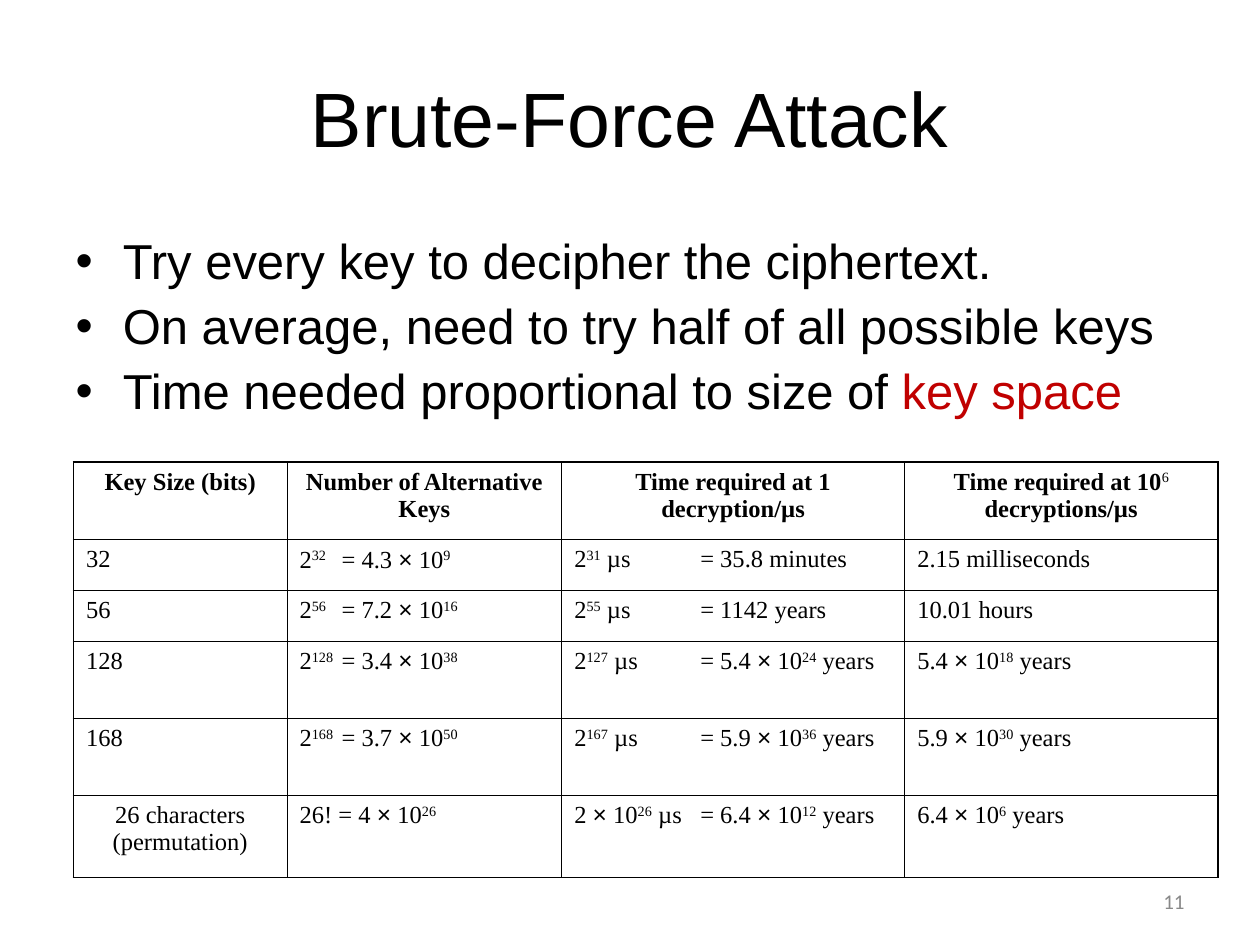
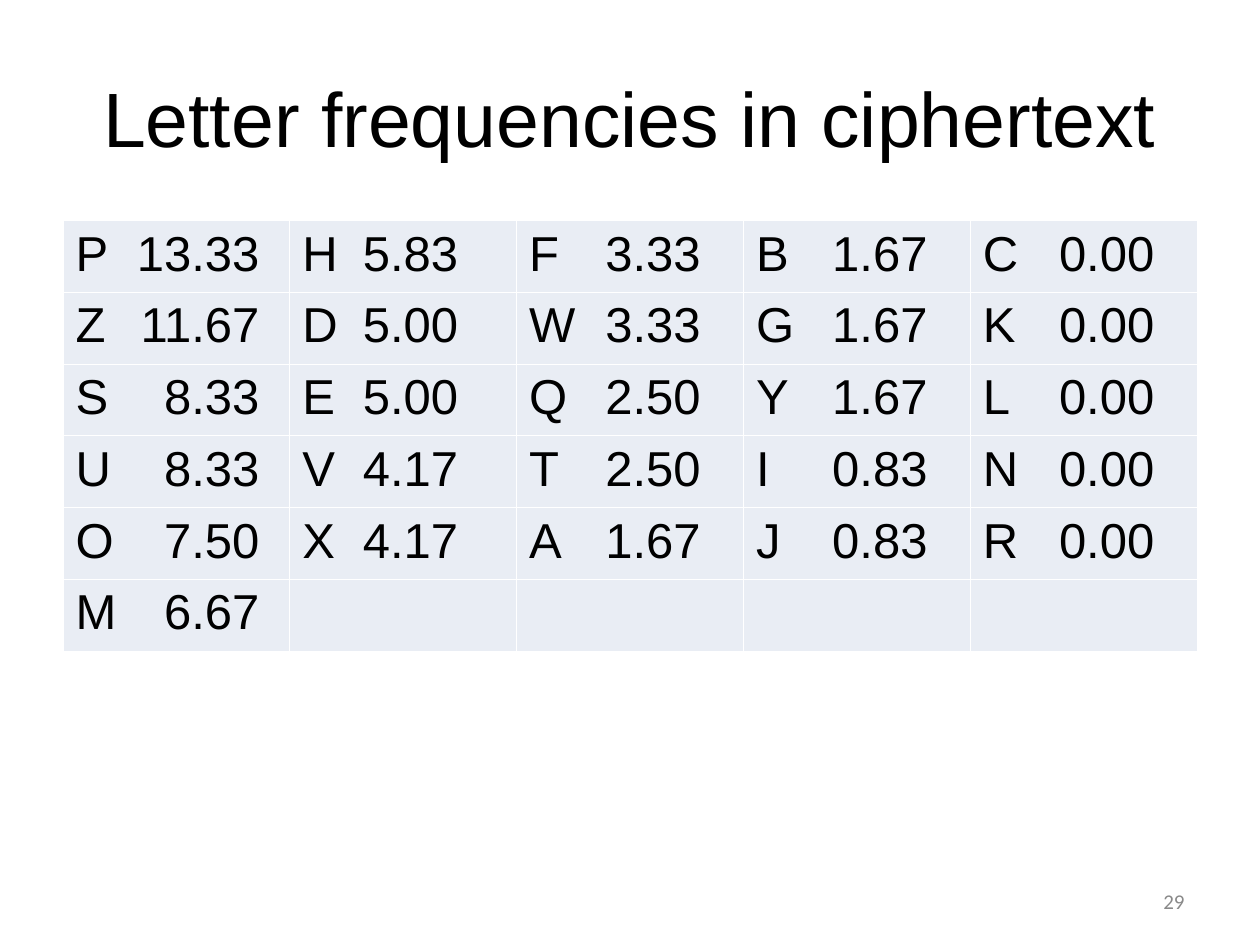
from lxml.etree import SubElement
from pptx import Presentation
from pptx.dml.color import RGBColor
from pptx.enum.text import MSO_ANCHOR, MSO_AUTO_SIZE, PP_ALIGN
from pptx.oxml.ns import qn
from pptx.util import Pt

COLORS = {"ink": "000000", "accent": "C00000", "number": "898989",
          "cell": "E9EDF4", "grid": "FFFFFF"}

KEY_HEADINGS = ["Key Size (bits)", "Number of Alternative Keys",
                "Time required at 1 decryption/µs",
                "Time required at 10^6^ decryptions/µs"]
KEY_ROWS = [
    ["32", "2^32^\t= 4.3 × 10^9^", "2^31^ µs\t= 35.8 minutes", "2.15 milliseconds"],
    ["56", "2^56^\t= 7.2 × 10^16^", "2^55^ µs\t= 1142 years", "10.01 hours"],
    ["128", "2^128^\t= 3.4 × 10^38^", "2^127^ µs\t= 5.4 × 10^24^ years",
     "5.4 × 10^18^ years"],
    ["168", "2^168^\t= 3.7 × 10^50^", "2^167^ µs\t= 5.9 × 10^36^ years",
     "5.9 × 10^30^ years"],
    ["26 characters (permutation)", "26! = 4 × 10^26^",
     "2 × 10^26^ µs\t= 6.4 × 10^12^ years", "6.4 × 10^6^ years"],
]
FREQUENCIES = [
    "P 13.33, H 5.83, F 3.33, B 1.67, C 0.00",
    "Z 11.67, D 5.00, W 3.33, G 1.67, K 0.00",
    "S 8.33, E 5.00, Q 2.50, Y 1.67, L 0.00",
    "U 8.33, V 4.17, T 2.50, I 0.83, N 0.00",
    "O 7.50, X 4.17, A 1.67, J 0.83, R 0.00",
    "M 6.67",
]


class Deck:
    """Holds the shared style and the slide being built."""

    def __init__(self):
        self.presentation = Presentation()
        self.presentation.slide_width = Pt(720)
        self.presentation.slide_height = Pt(540)
        self.slide = None

    def place(self, shape, left, top, width, height):
        """Move and size a shape in points."""
        shape.left, shape.top = Pt(left), Pt(top)
        shape.width, shape.height = Pt(width), Pt(height)

    def style(self, run, size, face="Arial", color="ink", bold=False):
        """Set the font of a run."""
        run.font.name, run.font.size, run.font.bold = face, Pt(size), bold
        run.font.color.rgb = RGBColor.from_string(COLORS[color])

    def start(self, layout, title, number):
        """Add a slide with its title and number."""
        self.slide = self.presentation.slides.add_slide(
            self.presentation.slide_layouts[layout])
        heading = self.slide.shapes.title
        self.place(heading, 36, 21.6, 648, 90)
        heading.text_frame.text = title
        heading.text_frame.auto_size = MSO_AUTO_SIZE.NONE
        self.style(heading.text_frame.paragraphs[0].runs[0], 44)
        footer = self.slide.shapes.add_textbox(
            Pt(516), Pt(500.4), Pt(168), Pt(28.8)).text_frame
        footer.word_wrap = True
        footer.vertical_anchor = MSO_ANCHOR.MIDDLE
        footer.text = str(number)
        footer.paragraphs[0].alignment = PP_ALIGN.RIGHT
        self.style(footer.paragraphs[0].runs[0], 12, "Calibri", "number")

    def bullets(self, points):
        """Fill the body; each point is a list of (text, color) pairs."""
        body = self.slide.placeholders[1]
        self.place(body, 36, 131.8, 648, 144)
        frame = body.text_frame
        frame.auto_size = MSO_AUTO_SIZE.NONE
        for index, point in enumerate(points):
            paragraph = frame.add_paragraph() if index else frame.paragraphs[0]
            paragraph.line_spacing = 0.9
            paragraph.space_before = Pt(7 if index else 0)
            for text, color in point:
                run = paragraph.add_run()
                run.text = text
                self.style(run, 28, color=color)

    def table(self, left, top, widths, heights):
        """Add a table without banding."""
        table = self.slide.shapes.add_table(
            len(heights), len(widths), Pt(left), Pt(top),
            Pt(sum(widths)), Pt(sum(heights))).table
        table.first_row = table.horz_banding = False
        for column, width in zip(table.columns, widths):
            column.width = Pt(width)
        for row, height in zip(table.rows, heights):
            row.height = Pt(height)
        return table

    def borders(self, cell, color, left=0.45, right=0.45, top=0.45, bottom=0.45):
        """Draw the four borders of a cell."""
        properties = cell._tc.get_or_add_tcPr()
        for side, width in zip("LRTB", (left, right, top, bottom)):
            line = SubElement(properties, qn(f"a:ln{side}"), w=str(Pt(width)))
            fill = SubElement(line, qn("a:solidFill"))
            SubElement(fill, qn("a:srgbClr"), val=COLORS[color])

    def tab(self, paragraph, position, align="l"):
        """Set one tab stop in a paragraph."""
        stops = SubElement(paragraph._p.get_or_add_pPr(), qn("a:tabLst"))
        SubElement(stops, qn("a:tab"), pos=str(Pt(position)), algn=align)

    def formula(self, paragraph, text, bold):
        """Write text whose ^marked^ parts are raised."""
        for index, part in enumerate(text.split("^")):
            raised = index % 2 == 1
            for piece in part.replace("×", "|×|").split("|"):
                if piece:
                    run = paragraph.add_run()
                    run.text = piece
                    face = "Arial" if piece == "×" else "Times New Roman"
                    self.style(run, 14, face, bold=bold and not raised)
                    if raised:
                        run.font._element.set("baseline", "30000")

    def key_table(self, rows):
        """Add the ruled table of key sizes and search times."""
        widths, heights = [122, 157, 196, 179], [44.4, 29, 29, 44, 44, 47]
        tab_stops = {1: 24, 2: 72}
        table = self.table(42, 264, widths, heights)
        last_row, last_column = len(heights) - 1, len(widths) - 1
        for r, row in enumerate(rows):
            for c, text in enumerate(row):
                cell = table.cell(r, c)
                edges = {"left": c == 0, "right": c == last_column,
                         "top": r == 0, "bottom": r == last_row}
                self.borders(cell, "ink", **{side: 1.08 for side, outer
                                             in edges.items() if outer})
                cell.fill.background()
                paragraph = cell.text_frame.paragraphs[0]
                if "\t" in text:
                    self.tab(paragraph, tab_stops[c])
                if r == 0 or (r == last_row and c == 0):
                    paragraph.alignment = PP_ALIGN.CENTER
                self.formula(paragraph, text, bold=r == 0)

    def frequency_table(self, rows):
        """Add the tinted grid of letters and percentages."""
        value_edges = [105, 89, 98, 98, 98]
        table = self.table(36, 126, [129.6] * 5, [41] * 6)
        for cell in table.iter_cells():
            self.borders(cell, "grid")
            cell.fill.solid()
            cell.fill.fore_color.rgb = RGBColor.from_string(COLORS["cell"])
        for r, row in enumerate(rows):
            for c, entry in enumerate(row.split(", ")):
                paragraph = table.cell(r, c).text_frame.paragraphs[0]
                self.tab(paragraph, value_edges[c], "r")
                paragraph.text = entry.replace(" ", "\t")
                self.style(paragraph.runs[0], 28)


def main():
    """Build both slides and save them."""
    deck = Deck()
    deck.start(1, "Brute-Force Attack", 11)
    deck.bullets([
        [("Try every key to decipher the ciphertext.", "ink")],
        [("On average, need to try half of all possible keys", "ink")],
        [("Time needed proportional to size of ", "ink"), ("key space", "accent")],
    ])
    deck.key_table([KEY_HEADINGS] + KEY_ROWS)
    deck.start(5, "Letter frequencies in ciphertext", 29)
    deck.frequency_table(FREQUENCIES)
    deck.presentation.save("out.pptx")


if __name__ == "__main__":
    main()
